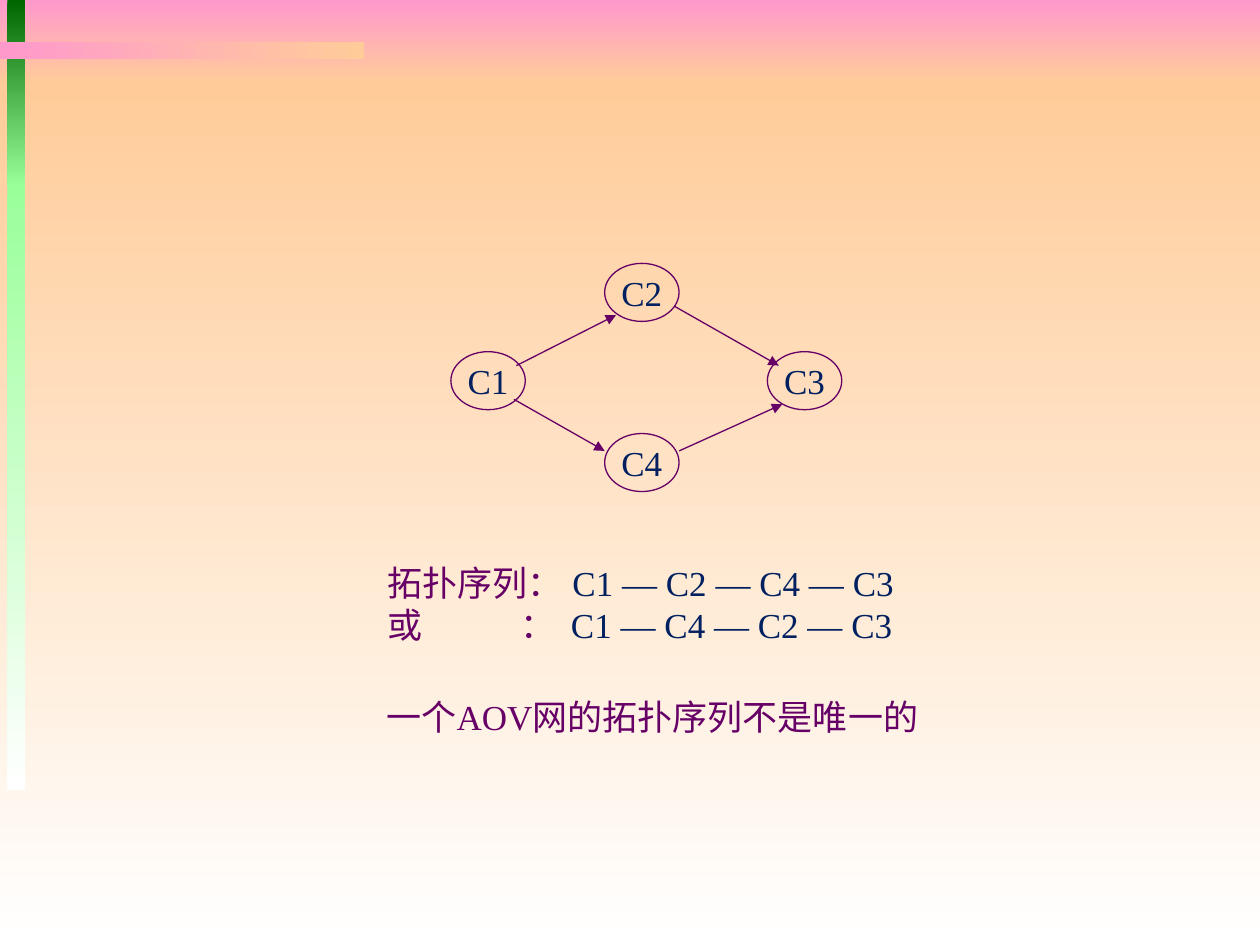
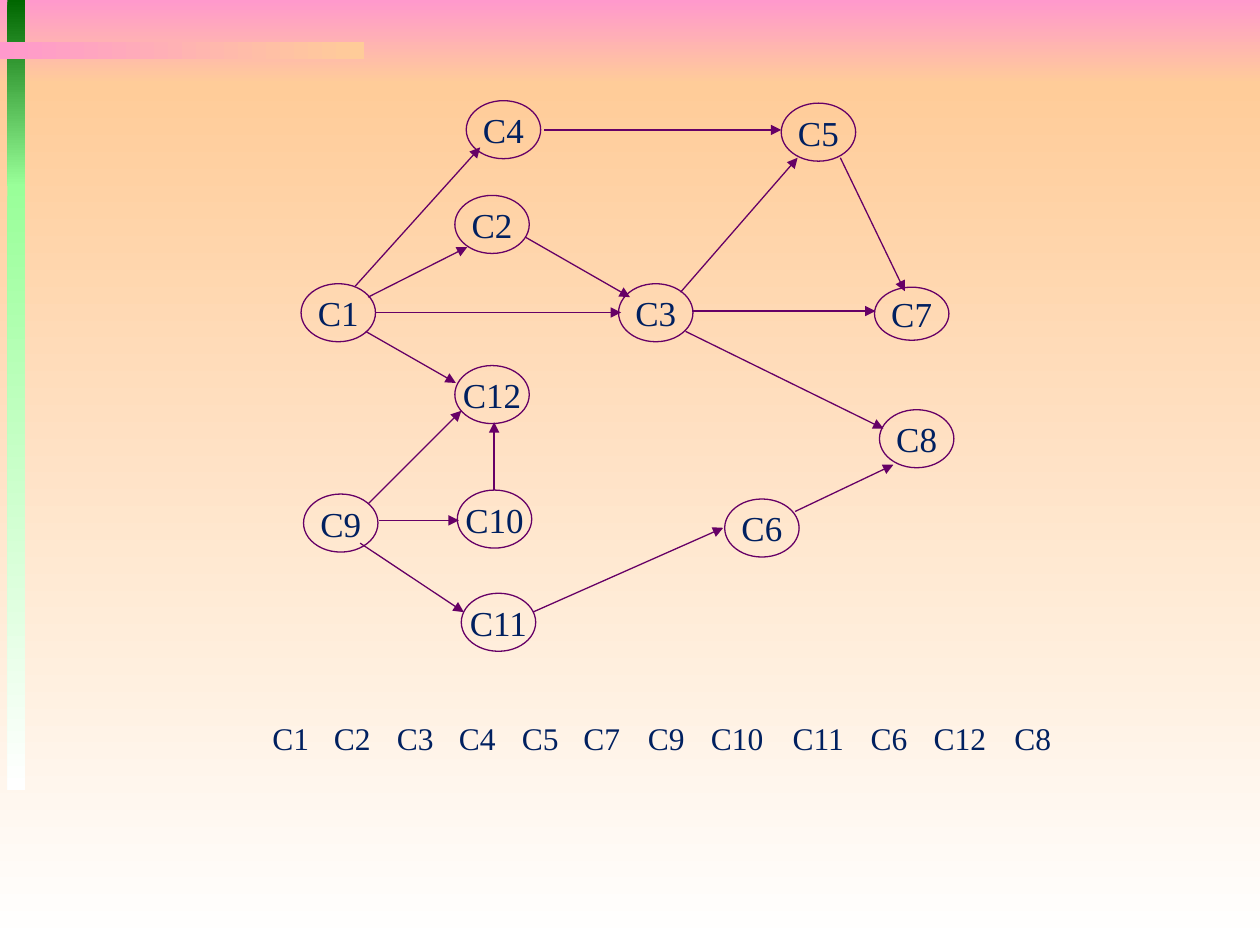
"""Build two slides on topological orders of activity networks."""
import lxml.etree
import pptx
import pptx.dml.color
import pptx.enum.shapes
import pptx.enum.text
import pptx.oxml.ns
import pptx.util

Cm = pptx.util.Cm
PURPLE, NAVY = "660066", "002060"
PINK, PEACH, WHITE = "FF99CC", "FFCC99", "FFFFFF"
DARK_GREEN, LIGHT_GREEN = "006600", "99FF99"
NODE_WIDTH, NODE_HEIGHT = 1.5, 1.17


def colour(value):
    return pptx.dml.color.RGBColor.from_string(value)


def write(paragraph, runs, size=20):
    for text, value in runs:
        run = paragraph.add_run()
        run.text = text
        font_format = {"name": "Times New Roman", "size": pptx.util.Pt(size)}
        for name, setting in font_format.items():
            setattr(run.font, name, setting)
        run.font.color.rgb = colour(value)


bands = [
    (0, 0, 25.4, 1.7, PINK, PEACH, 270),
    (0, 1.7, 25.4, 17.35, PEACH, WHITE, 270),
    (0.15, 0, 0.36, 3.76, DARK_GREEN, LIGHT_GREEN, 270),
    (0.15, 3.71, 0.36, 12.22, LIGHT_GREEN, WHITE, 270),
    (0, 0.84, 7.34, 0.36, PINK, PEACH, 0),
]
diamond_nodes = {
    "C1": (9.09, 7.09), "C2": (12.19, 5.31), "C3": (15.47, 7.09), "C4": (12.19, 8.74),
}
diamond_arrows = [
    (10.41, 7.37, 12.42, 6.35), (13.59, 6.17, 15.7, 7.37),
    (13.69, 9.09, 15.77, 8.15), (10.36, 8.05, 12.19, 9.09),
]
course_nodes = {
    "C1": (6.07, 5.72), "C2": (9.17, 3.94), "C3": (12.47, 5.72), "C4": (9.4, 2.03),
    "C5": (15.75, 2.08), "C6": (14.61, 10.06), "C7": (17.63, 5.79, 1.07),
    "C8": (17.73, 8.26), "C9": (6.12, 9.96), "C10": (9.22, 9.88),
    "C11": (9.3, 11.96), "C12": (9.17, 7.37),
}
course_arrows = [
    (7.57, 6.3, 12.52, 6.3), (7.42, 5.99, 9.42, 4.98), (10.59, 4.78, 12.7, 5.99),
    (7.16, 5.77, 9.68, 2.97), (10.97, 2.62, 15.75, 2.62), (13.72, 5.89, 16.08, 3.18),
    (13.97, 6.27, 17.65, 6.27), (16.94, 3.18, 18.24, 5.87), (7.37, 6.68, 9.19, 7.72),
    (7.42, 10.16, 9.3, 8.28), (7.65, 10.49, 9.25, 10.49), (9.96, 9.88, 9.96, 8.51),
    (7.26, 10.95, 9.35, 12.34), (10.74, 12.34, 14.58, 10.64),
    (16.03, 10.31, 18.01, 9.37), (13.82, 6.68, 17.81, 8.64),
]

presentation = pptx.Presentation()
presentation.slide_width, presentation.slide_height = Cm(25.4), Cm(19.05)
slides = []

for nodes, arrows in [(diamond_nodes, diamond_arrows), (course_nodes, course_arrows)]:
    slide = presentation.slides.add_slide(presentation.slide_layouts[6])
    slides.append(slide)
    for left, top, width, height, start, end, angle in bands:
        band = slide.shapes.add_shape(
            pptx.enum.shapes.MSO_SHAPE.RECTANGLE, Cm(left), Cm(top), Cm(width), Cm(height))
        band.shadow.inherit = False
        band.line.fill.background()
        band.fill.gradient()
        band.fill.gradient_angle = angle
        for stop, value, position in zip(band.fill.gradient_stops, (start, end), (0, 1)):
            stop.color.rgb = colour(value)
            stop.position = position

    for label, (left, top, *custom_height) in nodes.items():
        height = custom_height[0] if custom_height else NODE_HEIGHT
        node = slide.shapes.add_shape(
            pptx.enum.shapes.MSO_SHAPE.OVAL, Cm(left), Cm(top), Cm(NODE_WIDTH), Cm(height))
        node.shadow.inherit = False
        node.fill.background()
        node.line.color.rgb = colour(PURPLE)
        node.line.width = pptx.util.Pt(0.75)
        frame_format = {
            "margin_left": 0, "margin_right": 0, "word_wrap": False,
            "vertical_anchor": pptx.enum.text.MSO_ANCHOR.MIDDLE,
        }
        for name, setting in frame_format.items():
            setattr(node.text_frame, name, setting)
        paragraph = node.text_frame.paragraphs[0]
        paragraph.alignment = pptx.enum.text.PP_ALIGN.CENTER
        write(paragraph, [(label, NAVY)])

    for ends in arrows:
        arrow = slide.shapes.add_connector(
            pptx.enum.shapes.MSO_CONNECTOR.STRAIGHT, *map(Cm, ends))
        arrow.line.color.rgb = colour(PURPLE)
        arrow.line.width = pptx.util.Pt(0.75)
        line = arrow.line._get_or_add_ln()
        lxml.etree.SubElement(line, pptx.oxml.ns.qn("a:tailEnd"), type="triangle")
        lxml.etree.SubElement(arrow._element.spPr, pptx.oxml.ns.qn("a:effectLst"))

diamond_slide, course_slide = slides

orders = diamond_slide.shapes.add_textbox(Cm(7.56), Cm(11.2), Cm(11), Cm(1.96)).text_frame
orders.word_wrap = True
order_rows = [
    ("拓扑序列：\t", "C1 — C2 — C4 — C3", [3.73]),
    ("或\t：\t", "C1 — C4 — C2 — C3", [2.69, 3.7]),
]
for index, (heading, order, tab_positions) in enumerate(order_rows):
    paragraph = orders.add_paragraph() if index else orders.paragraphs[0]
    write(paragraph, [(heading, PURPLE), (order, NAVY)])
    tabs = lxml.etree.SubElement(
        paragraph._p.get_or_add_pPr(), pptx.oxml.ns.qn("a:tabLst"))
    for position in tab_positions:
        lxml.etree.SubElement(
            tabs, pptx.oxml.ns.qn("a:tab"), pos=str(Cm(position)), algn="l")

statement = diamond_slide.shapes.add_textbox(Cm(7.54), Cm(13.89), Cm(11.25), Cm(1.96)).text_frame
statement.word_wrap = True
write(statement.paragraphs[0], [("一个AOV网的拓扑序列不是唯一的", PURPLE)])

course_order = {
    "C1": 5.49, "C2": 6.73, "C3": 8, "C4": 9.25, "C5": 10.52, "C7": 11.76,
    "C9": 13.06, "C10": 14.33, "C11": 15.98, "C6": 17.55, "C12": 18.82, "C8": 20.45,
}
for label, left in course_order.items():
    frame = course_slide.shapes.add_textbox(Cm(left), Cm(14.38), Cm(1.27), Cm(1.02)).text_frame
    for name, setting in {"margin_left": 0, "margin_right": 0, "word_wrap": True}.items():
        setattr(frame, name, setting)
    write(frame.paragraphs[0], [(label, NAVY)], 18)

presentation.save("out.pptx")
